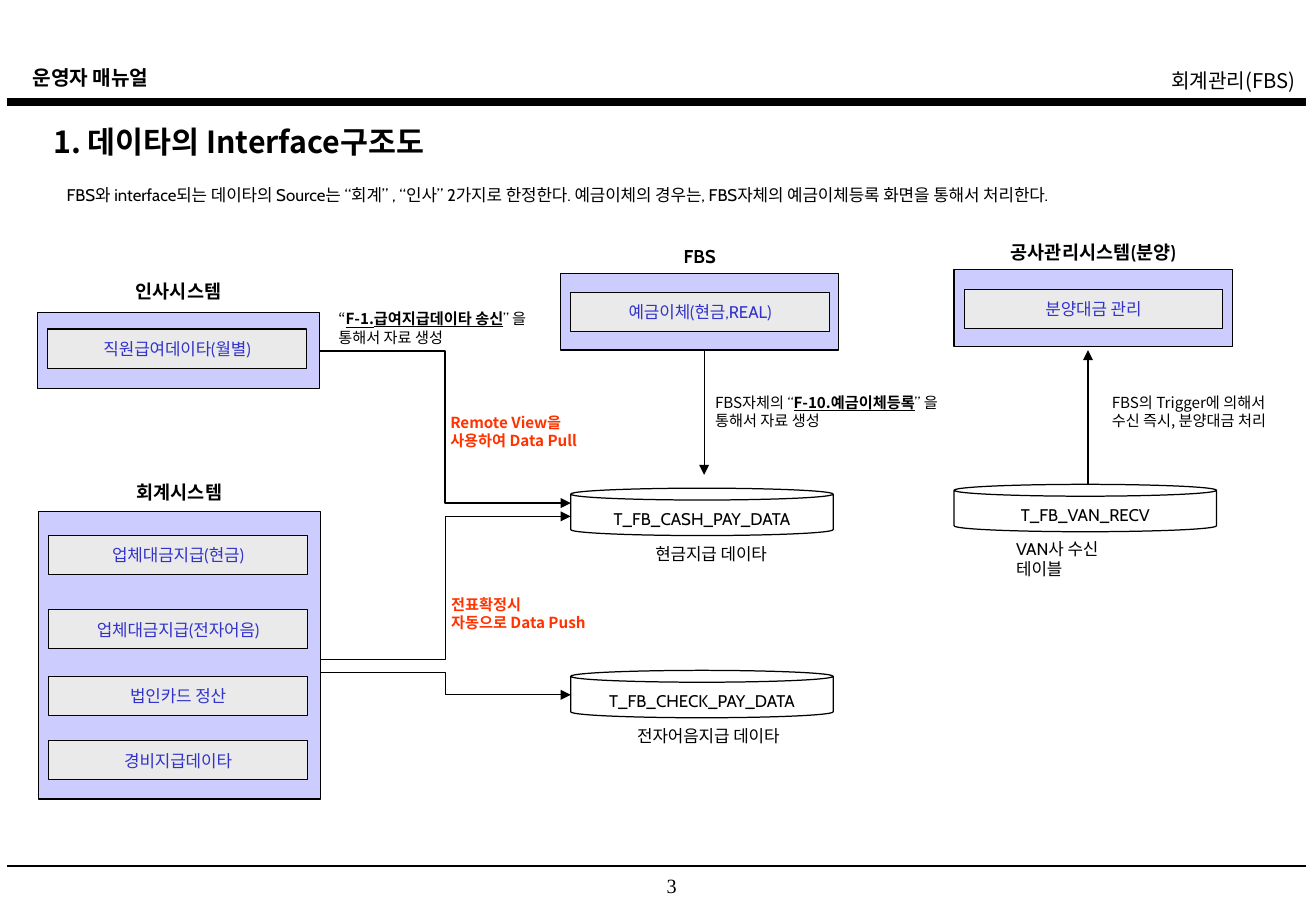
from dataclasses import dataclass

from lxml import etree
from pptx import Presentation
from pptx import util as u
from pptx.dml.color import RGBColor
from pptx.enum import shapes, text
from pptx.oxml.ns import qn

LEFT, CENTER, RIGHT = text.PP_ALIGN.LEFT, text.PP_ALIGN.CENTER, text.PP_ALIGN.RIGHT
TOP, MIDDLE = text.MSO_ANCHOR.TOP, text.MSO_ANCHOR.MIDDLE


@dataclass(frozen=True)
class Theme:
    black: str = "000000"
    white: str = "FFFFFF"
    panel: str = "CCCCFF"
    item: str = "EAEAEA"
    item_text: str = "3333CC"
    alert: str = "FF3300"
    sans: str = "Cabin"
    korean: str = "Noto Sans CJK KR"
    serif: str = "Times New Roman"
    title: float = 18
    header: float = 12
    caption: float = 11
    body: float = 10
    note: float = 9
    line: float = 0.75


T = Theme()


@dataclass(frozen=True)
class Style:
    size: float = T.body
    font: str = T.sans
    color: str = T.black
    bold: bool = False
    align: text.PP_ALIGN = LEFT
    anchor: text.MSO_ANCHOR = TOP


@dataclass(frozen=True)
class Label:
    x: float
    y: float
    w: float
    h: float
    lines: tuple[str, ...]
    style: Style


@dataclass(frozen=True)
class System:
    name: str
    x: float
    y: float
    w: float
    h: float
    caption_rise: float
    items: tuple[tuple[float, str], ...]


@dataclass(frozen=True)
class Store:
    name: str
    x: float
    y: float


@dataclass(frozen=True)
class Link:
    x1: float
    y1: float
    x2: float
    y2: float
    elbow: bool = False
    arrow: bool = True
    width: float = T.line


HEADER = Style(T.header, T.korean, bold=True)
HEADER_RIGHT = Style(T.header, T.korean, align=RIGHT)
TITLE = Style(T.title, T.korean, bold=True, anchor=MIDDLE)
BODY = Style()
CAPTION = Style(T.caption, bold=True, align=CENTER)
ITEM = Style(color=T.item_text, align=CENTER, anchor=MIDDLE)
STORE = Style(align=CENTER, anchor=MIDDLE)
NOTE = Style(T.note, T.korean)
ALERT = Style(T.note, T.korean, T.alert, bold=True)
PAGE = Style(T.header, T.serif, align=CENTER)

ITEM_W, ITEM_H, ITEM_INSET = 5.41, 0.82, 0.21
STORE_W, STORE_H, STORE_TOP = 5.49, 0.99, 0.15

TITLE_LABEL = Label(0.86, 2.44, 10.29, 1.02, ("1. 데이타의 Interface구조도",), TITLE)
INTRO_LABEL = Label(1.14, 3.73, 24.99, 0.69, (
    "FBS와 interface되는 데이타의 Source는 “회계” , “인사” 2가지로 한정한다. "
    "예금이체의 경우는, FBS자체의 예금이체등록 화면을 통해서 처리한다.",), BODY)

LABELS = [
    Label(0.43, 1.24, 11.05, 0.76, ("운영자 매뉴얼",), HEADER),
    Label(15.44, 1.3, 11.91, 0.76, ("회계관리(FBS)",), HEADER_RIGHT),
    Label(13.46, 11.25, 3.2, 0.69, ("현금지급 데이타",), BODY),
    Label(13.08, 15.04, 3.8, 0.69, ("전자어음지급 데이타",), BODY),
    Label(21.01, 11.13, 3.1, 1.1, ("VAN사 수신 테이블",), BODY),
    Label(14.71, 8.1, 5.9, 1.02, ("FBS자체의 “*F-10.예금이체등록*” 을", "통해서 자료 생성"), NOTE),
    Label(6.83, 6.35, 4.85, 1.02, ("“*F-1.급여지급데이타 송신*” 을", "통해서 자료 생성"), NOTE),
    Label(23.01, 8.1, 4.2, 1.02, ("FBS의 Trigger에 의해서", "수신 즉시, 분양대금 처리"), NOTE),
    Label(9.17, 8.51, 3.8, 1.02, ("Remote View을", "사용하여 Data Pull"), ALERT),
    Label(9.19, 12.32, 3.8, 1.02, ("전표확정시", "자동으로 Data Push"), ALERT),
    Label(13.06, 18.14, 1.98, 0.69, ("3",), PAGE),
]

SYSTEMS = [
    System("인사시스템", 0.79, 6.53, 5.89, 1.6, 0.81, ((6.88, "직원급여데이타(월별)"),)),
    System("회계시스템", 0.81, 10.69, 5.89, 6.02, 0.76, (
        (11.2, "업체대금지급(현금)"), (12.75, "업체대금지급(전자어음)"),
        (14.15, "법인카드 정산"), (15.49, "경비지급데이타"))),
    System("FBS", 11.73, 5.72, 5.82, 1.6, 0.72, ((6.12, "예금이체(현금,REAL)"),)),
    System("공사관리시스템(분양)", 19.96, 5.64, 5.82, 1.6, 0.72, ((6.05, "분양대금 관리"),)),
]

STORES = [
    Store("T_FB_CASH_PAY_DATA", 11.94, 10.21),
    Store("T_FB_CHECK_PAY_DATA", 11.94, 14.02),
    Store("T_FB_VAN_RECV", 19.96, 10.13),
]

LINKS = [
    Link(0.15, 2.13, 27.33, 2.13, arrow=False, width=4.5),
    Link(0.15, 18.11, 27.33, 18.11, arrow=False, width=1),
    Link(6.68, 7.34, 11.94, 10.52, elbow=True),
    Link(6.71, 14.07, 11.94, 14.53, elbow=True),
    Link(6.71, 13.79, 11.94, 10.8, elbow=True),
    Link(14.73, 7.32, 14.73, 9.93),
    Link(22.76, 10.13, 22.76, 7.32),
]


def write(sp, lines: tuple[str, ...], style: Style) -> None:
    tf = sp.text_frame
    tf.word_wrap = True
    tf.auto_size = text.MSO_AUTO_SIZE.NONE
    tf.vertical_anchor = style.anchor
    tf.text = "\n".join(lines).replace("*", "")
    for p, line in zip(tf.paragraphs, lines):
        p.alignment = style.align
        p.space_before = u.Pt(0)
        parts = line.split("*")
        p.runs[0].text = parts[0]
        for part in parts[1:]:
            p.add_run().text = part
        for i, r in enumerate(p.runs):
            marked = i % 2 == 1
            r.font.size = u.Pt(style.size)
            r.font.bold = style.bold or marked
            r.font.underline = marked
            r.font.color.rgb = RGBColor.from_string(style.color)
            r.font.name = style.font
            etree.SubElement(r._r.get_or_add_rPr(), qn("a:ea")).set("typeface", T.sans)


def place(sp, label: Label) -> None:
    sp.left, sp.top, sp.width, sp.height = map(u.Cm, (label.x, label.y, label.w, label.h))
    write(sp, label.lines, label.style)


def add_label(s, label: Label) -> None:
    place(s.shapes.add_textbox(0, 0, 0, 0), label)


def add_box(s, kind: shapes.MSO_SHAPE, x: float, y: float, w: float, h: float, fill: str):
    sp = s.shapes.add_shape(kind, *map(u.Cm, (x, y, w, h)))
    sp.shadow.inherit = False
    sp.fill.solid()
    sp.fill.fore_color.rgb = RGBColor.from_string(fill)
    sp.line.color.rgb = RGBColor.from_string(T.black)
    sp.line.width = u.Pt(T.line)
    tf = sp.text_frame
    tf.margin_left = tf.margin_right = tf.margin_top = tf.margin_bottom = 0
    return sp


def add_system(s, system: System) -> None:
    add_box(s, shapes.MSO_SHAPE.RECTANGLE, system.x, system.y, system.w, system.h, T.panel)
    add_label(s, Label(system.x, system.y - system.caption_rise, system.w, 0.74, (system.name,), CAPTION))
    for y, name in system.items:
        sp = add_box(s, shapes.MSO_SHAPE.RECTANGLE, system.x + ITEM_INSET, y, ITEM_W, ITEM_H, T.item)
        write(sp, (name,), ITEM)


def add_store(s, store: Store) -> None:
    sp = add_box(s, shapes.MSO_SHAPE.CAN, store.x, store.y, STORE_W, STORE_H, T.white)
    sp.text_frame.margin_top = u.Cm(STORE_TOP)
    write(sp, (store.name,), STORE)


def add_link(s, link: Link) -> None:
    kind = shapes.MSO_CONNECTOR.ELBOW if link.elbow else shapes.MSO_CONNECTOR.STRAIGHT
    cx = s.shapes.add_connector(kind, *map(u.Cm, (link.x1, link.y1, link.x2, link.y2)))
    cx.line.color.rgb = RGBColor.from_string(T.black)
    cx.line.width = u.Pt(link.width)
    if link.arrow:
        etree.SubElement(cx.line._get_or_add_ln(), qn("a:tailEnd")).set("type", "triangle")
    etree.SubElement(cx._element.spPr, qn("a:effectLst"))


def main() -> None:
    prs = Presentation()
    prs.slide_width, prs.slide_height = u.Cm(27.53), u.Cm(19.05)
    s = prs.slides.add_slide(prs.slide_layouts[1])
    place(s.shapes.title, TITLE_LABEL)
    intro = s.placeholders[1]
    place(intro, INTRO_LABEL)
    pPr = intro.text_frame.paragraphs[0]._p.get_or_add_pPr()
    pPr.set("marL", "0")
    pPr.set("indent", "0")
    etree.SubElement(pPr, qn("a:buNone"))
    for system in SYSTEMS:
        add_system(s, system)
    for store in STORES:
        add_store(s, store)
    for link in LINKS:
        add_link(s, link)
    for label in LABELS:
        add_label(s, label)
    prs.save("out.pptx")


if __name__ == "__main__":
    main()
